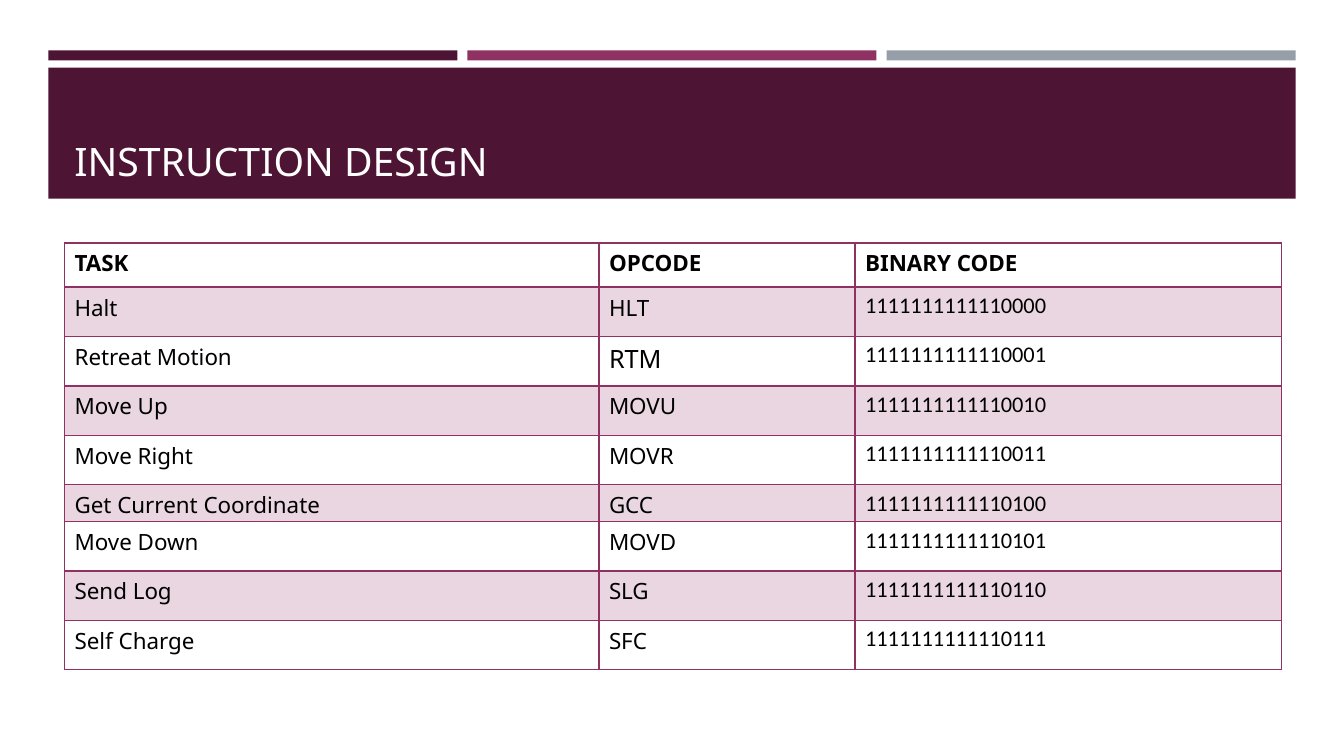
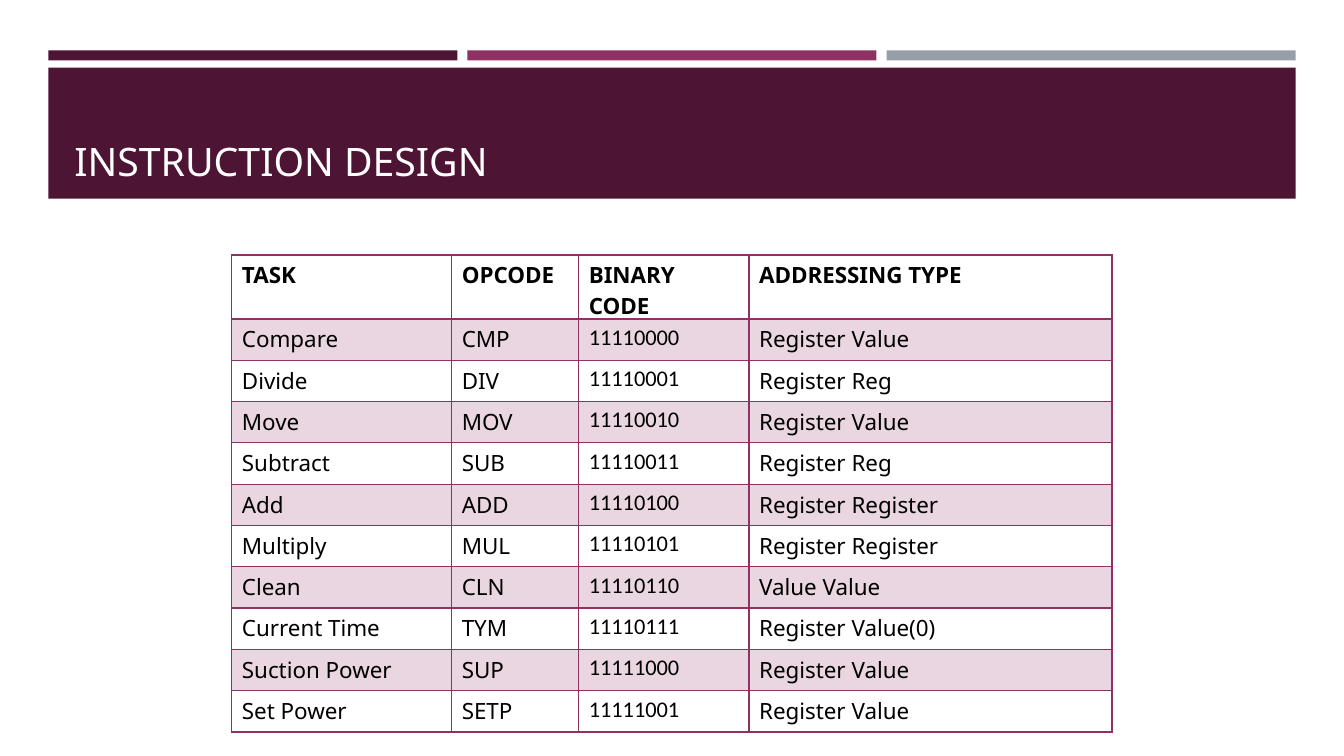
from pptx import Presentation
from pptx.dml.color import RGBColor
from pptx.enum.shapes import MSO_SHAPE
from pptx.enum.text import MSO_ANCHOR
from pptx.oxml.ns import qn
from pptx.util import Inches, Pt
from lxml.etree import SubElement

PLUM = RGBColor(0x4D, 0x14, 0x34)
MAGENTA = RGBColor(0x90, 0x31, 0x63)
GRAY = RGBColor(0x96, 0x9F, 0xA7)
PALE = RGBColor(0xE9, 0xD6, 0xE0)
WHITE = RGBColor(0xFF, 0xFF, 0xFF)
BLACK = RGBColor(0, 0, 0)
TEXT_FONT = "Noto Sans"
CODE_FONT = "Calibri"
CODE_COLUMN = 2

MOTION_HEADER = ("TASK", "OPCODE", "BINARY CODE")
MOTION_TASKS = [
    ("Halt", "HLT"),
    ("Retreat Motion", "RTM"),
    ("Move Up", "MOVU"),
    ("Move Right", "MOVR"),
    ("Get Current Coordinate", "GCC"),
    ("Move Down", "MOVD"),
    ("Send Log", "SLG"),
    ("Self Charge", "SFC"),
]
OPERAND_HEADER = MOTION_HEADER + ("ADDRESSING TYPE",)
OPERAND_TASKS = [
    ("Compare", "CMP", "Register Value"),
    ("Divide", "DIV", "Register Reg"),
    ("Move", "MOV", "Register Value"),
    ("Subtract", "SUB", "Register Reg"),
    ("Add", "ADD", "Register Register"),
    ("Multiply", "MUL", "Register Register"),
    ("Clean", "CLN", "Value Value"),
    ("Current Time", "TYM", "Register Value(0)"),
    ("Suction Power", "SUP", "Register Value"),
    ("Set Power", "SETP", "Register Value"),
]


def format_text(text_frame, size, color, font=TEXT_FONT, bold=False):
    for paragraph in text_frame.paragraphs:
        for run in paragraph.runs:
            run.font.name = font
            run.font.size = Pt(size)
            run.font.bold = bold
            run.font.color.rgb = color


def add_bar(slide, left, top, width, height, color):
    bar = slide.shapes.add_shape(
        MSO_SHAPE.RECTANGLE, Inches(left), Inches(top), Inches(width), Inches(height))
    bar.shadow.inherit = False
    bar.fill.solid()
    bar.fill.fore_color.rgb = color
    bar.line.fill.background()


def add_heading(slide, title, left=0.48, top=0.5, width=12.37):
    gap = 0.1
    strip_width = (width - 2 * gap) / 3
    for index, color in enumerate((PLUM, MAGENTA, GRAY)):
        add_bar(slide, left + index * (strip_width + gap), top, strip_width, 0.1, color)
    add_bar(slide, left, top + 0.17, width, 1.3, PLUM)

    title_box = slide.shapes.add_textbox(
        Inches(left + 0.16), Inches(top + 0.27), Inches(width - 0.31), Inches(1.11))
    text_frame = title_box.text_frame
    text_frame.word_wrap = True
    text_frame.vertical_anchor = MSO_ANCHOR.BOTTOM
    text_frame.text = title
    format_text(text_frame, 28, WHITE)


def set_borders(cell, top_width, bottom_width):
    properties = cell._tc.get_or_add_tcPr()
    for side, width in (("L", 1), ("R", 1), ("T", top_width), ("B", bottom_width)):
        line = SubElement(properties, qn(f"a:ln{side}"), w=str(Pt(width)))
        fill = SubElement(line, qn("a:solidFill"))
        SubElement(fill, qn("a:srgbClr"), val=str(MAGENTA))


def fill_cell(cell, text, row, column):
    is_header = row == 0
    cell.text_frame.text = text
    font = CODE_FONT if column == CODE_COLUMN and not is_header else TEXT_FONT
    format_text(cell.text_frame, 16, BLACK, font, bold=is_header)
    set_borders(cell, 2 if row == 1 else 1, 2 if is_header else 1)
    if row % 2:
        cell.fill.solid()
        cell.fill.fore_color.rgb = PALE
    else:
        cell.fill.background()


def add_instruction_table(slide, left, top, widths, heights, header, tasks, first_code):
    rows = [header]
    for index, (task, opcode, *addressing) in enumerate(tasks):
        rows.append((task, opcode, f"{first_code + index:b}", *addressing))

    table = slide.shapes.add_table(
        len(rows), len(header), Inches(left), Inches(top),
        Inches(sum(widths)), Inches(sum(heights))).table
    table.first_row = False
    table.horz_banding = False
    for column, width in zip(table.columns, widths):
        column.width = Inches(width)
    for table_row, height in zip(table.rows, heights):
        table_row.height = Inches(height)
    for row, texts in enumerate(rows):
        for column, text in enumerate(texts):
            fill_cell(table.cell(row, column), text, row, column)
    return table


def add_instruction_slide(presentation, **table_options):
    slide = presentation.slides.add_slide(presentation.slide_layouts[6])
    add_heading(slide, "INSTRUCTION DESIGN")
    return add_instruction_table(slide, **table_options)


presentation = Presentation()
presentation.slide_width = Inches(13.33)
presentation.slide_height = Inches(7.5)

motion_table = add_instruction_slide(
    presentation, left=0.64, top=2.41, widths=(5.3, 2.54, 4.23),
    heights=[0.44] + [0.49] * 4 + [0.36] + [0.49] * 3,
    header=MOTION_HEADER, tasks=MOTION_TASKS, first_code=0b1111111111110000)
retreat_opcode = motion_table.cell(2, 1)
format_text(retreat_opcode.text_frame, 18, BLACK)

add_instruction_slide(
    presentation, left=2.3, top=2.53, widths=(2.18, 1.26, 1.69, 3.6),
    heights=[0.41] * 11,
    header=OPERAND_HEADER, tasks=OPERAND_TASKS, first_code=0b11110000)

presentation.save("out.pptx")
